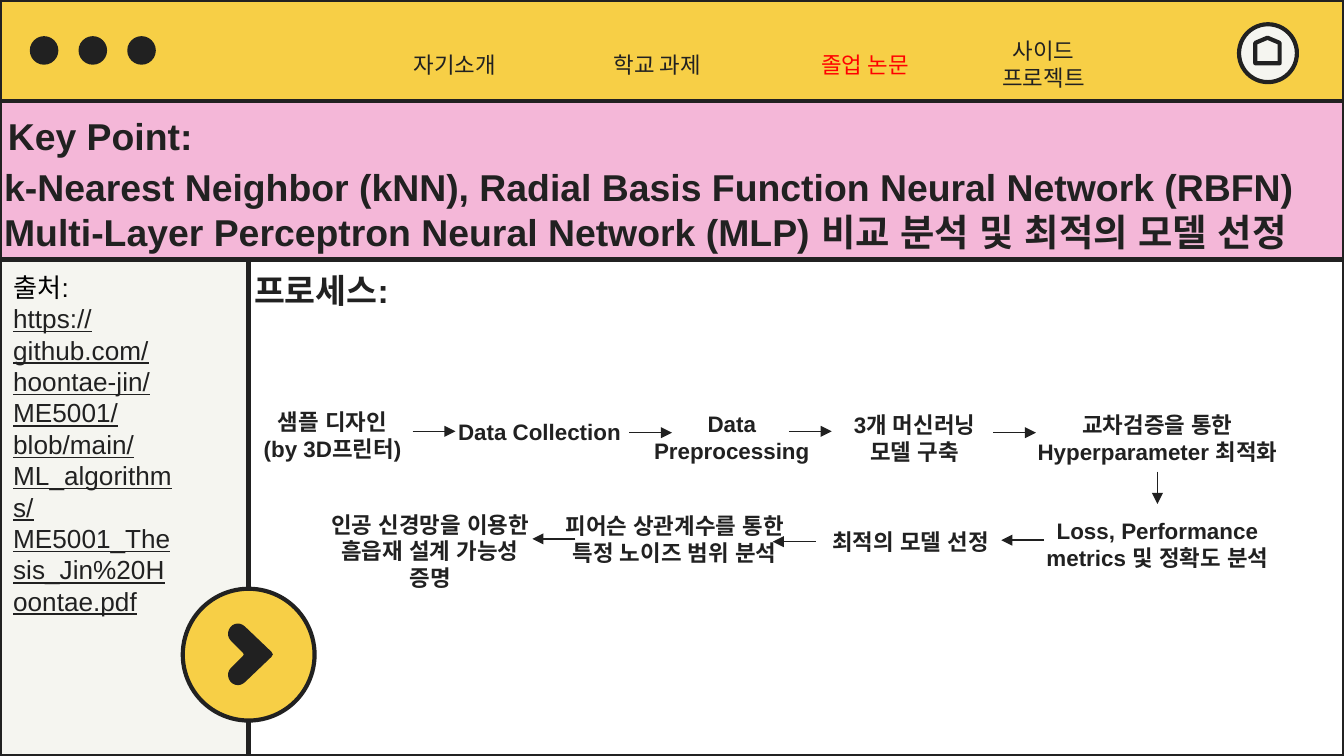
from dataclasses import dataclass

from lxml import etree
from pptx import Presentation
from pptx import util as u
from pptx.dml import color
from pptx.enum import shapes, text
from pptx.oxml import ns

Pt = u.Pt
RGB = color.RGBColor.from_string


@dataclass(frozen=True)
class Theme:
    ink: str = "212121"
    arrow: str = "202020"
    yellow: str = "F7CF46"
    pink: str = "F4B7D8"
    paper: str = "F5F5F0"
    active: str = "FF0000"
    black: str = "000000"
    latin: str = "Arial"
    korean: str = "Noto Sans CJK KR"
    heading: int = 20
    subheading: int = 18
    source: int = 14
    label: int = 12
    border: float = 2.25
    thin: float = 0.75


th = Theme()
kinds = shapes.MSO_SHAPE
CENTER, LEFT = text.PP_ALIGN.CENTER, text.PP_ALIGN.LEFT
TOP, MIDDLE = text.MSO_ANCHOR.TOP, text.MSO_ANCHOR.MIDDLE

prs = Presentation()
prs.slide_width, prs.slide_height = Pt(720), Pt(405)
s = prs.slides.add_slide(prs.slide_layouts[0])


def write(sp, words, size=th.label, ink=th.ink, font=th.latin, bold=False,
          underline=False, align=LEFT, anchor=TOP, inset=(7.2, 7.2, 7.2, 7.2)):
    tf = sp.text_frame
    tf.word_wrap = True
    tf.auto_size = text.MSO_AUTO_SIZE.NONE
    tf.vertical_anchor = anchor
    tf.margin_left, tf.margin_top, tf.margin_right, tf.margin_bottom = map(Pt, inset)
    p = tf.add_paragraph() if tf.text else tf.paragraphs[0]
    p.text = words
    p.alignment = align
    p.space_before = Pt(0)
    for r in p.runs:
        r.font.name, r.font.size = font, Pt(size)
        r.font.bold, r.font.underline = bold, underline
        r.font.color.rgb = RGB(ink)
        ea = etree.SubElement(r._r.get_or_add_rPr(), ns.qn("a:ea"))
        ea.set("typeface", font)


def draw(kind, box, fill=None, line=th.ink):
    sp = s.shapes.add_shape(kind, *map(Pt, box))
    sp.shadow.inherit = False
    if fill:
        sp.fill.solid()
        sp.fill.fore_color.rgb = RGB(fill)
    else:
        sp.fill.background()
    if line:
        sp.line.color.rgb = RGB(line)
        sp.line.width = Pt(th.border)
    else:
        sp.line.fill.background()
    return sp


draw(kinds.RECTANGLE, (0, 0, 720, 405))
draw(kinds.RECTANGLE, (0, 0, 720, 54), th.yellow)
for i in range(3):
    draw(kinds.OVAL, (16 + 26.1 * i, 19.4, 15.3, 15.3), th.ink, None)
draw(kinds.RECTANGLE, (0, 54, 720, 85), th.pink)
draw(kinds.RECTANGLE, (0, 139, 133.2, 266), th.paper)

title, subtitle = s.shapes.title, s.placeholders[1]
for sp, box in ((title, (-5, 80.6, 743.8, 37.4)), (subtitle, (128.9, 137.5, 91.4, 39.6))):
    sp.left, sp.top, sp.width, sp.height = map(Pt, box)
    s.shapes.element.append(sp.element)
write(title, "k-Nearest Neighbor (kNN), Radial Basis Function Neural Network (RBFN)\v"
      "Multi-Layer Perceptron Neural Network (MLP) 비교 분석 및 최적의 모델 선정",
      size=th.heading, bold=True)
write(subtitle, "프로세스:", size=th.subheading, bold=True)

draw(kinds.OVAL, (663.8, 13, 31, 31), th.paper)
home = draw(kinds.FLOWCHART_OFFPAGE_CONNECTOR, (672.5, 20.2, 13, 13.7))
home.rotation = 180
draw(kinds.OVAL, (97.9, 315.4, 70.6, 70.6), th.yellow)

axis = 350.6
upper = [(146.2, axis), (145.4, 349.2), (131.8, 336.2)]
for curve in (((131.8, 336.2), (130.3, 334.8), (128.9, 334.1), (127.4, 334.1)),
              ((127.4, 334.1), (123.1, 334.1), (120.2, 339.8), (123.8, 343.4))):
    for i in range(1, 9):
        t = i / 8
        weights = ((1 - t) ** 3, 3 * t * (1 - t) ** 2, 3 * t * t * (1 - t), t ** 3)
        upper.append(tuple(sum(w * c[k] for w, c in zip(weights, curve)) for k in (0, 1)))
upper += [(130.3, 349.9), (130.6, axis)]
outline = [(Pt(x), Pt(y)) for x, y in
           upper + [(x, 2 * axis - y) for x, y in upper[-2:0:-1]]]
fb = s.shapes.build_freeform(*outline[0])
fb.add_line_segments(outline[1:], close=True)
chevron = fb.convert_to_shape()
chevron.shadow.inherit = False
chevron.fill.solid()
chevron.fill.fore_color.rgb = RGB(th.ink)
chevron.line.fill.background()

for words, left, width, ink in (
        ("자기소개", 190, 107.3, th.ink),
        ("학교 과제", 295.2, 113.8, th.ink),
        ("졸업 논문", 404, 118.8, th.active),
        ("사이드 프로젝트", 525.6, 67, th.ink)):
    sp = s.shapes.add_textbox(Pt(left), Pt(19.4), Pt(width), Pt(15.8))
    write(sp, words, ink=ink, font=th.korean, align=CENTER, anchor=MIDDLE,
          inset=(7.2, 14.4, 7.2, 0))

source = s.shapes.add_textbox(Pt(0), Pt(141.8), Pt(103), Pt(159.8))
for words, ink, underline in (
        ("출처:", th.black, False),
        ("https://github.com/hoontae-jin/ME5001/blob/main/ML_algorithms/"
         "ME5001_Thesis_Jin%20Hoontae.pdf", th.ink, True)):
    write(source, words, size=th.source, ink=ink, underline=underline,
          inset=(7.2, 3.6, 7.2, 3.6))

sp = s.shapes.add_textbox(Pt(-2.9), Pt(53.3), Pt(743.8), Pt(37.4))
write(sp, "Key Point:", size=th.heading, bold=True)

steps = []
for words, *box in (
        ("샘플 디자인\v(by 3D프린터)", 128.9, 211.7, 98.6, 39.6),
        ("Data Collection", 235.4, 216.7, 107.3, 24.5),
        ("Data Preprocessing", 338.4, 212.4, 107.3, 39.6),
        ("3개 머신러닝\v모델 구축", 436.3, 213.1, 107.3, 39.6),
        ("교차검증을 통한 Hyperparameter 최적화", 544.5, 213.1, 151.2, 39.6),
        ("Loss, Performance metrics 및 정확도 분석", 544.5, 270, 151.2, 39.6),
        ("최적의 모델 선정", 434.2, 275.8, 107.3, 29.5),
        ("피어슨 상관계수를 통한 특정 노이즈 범위 분석", 294.5, 267.1, 133.9, 29.5),
        ("인공 신경망을 이용한 흠읍재 설계 가능성 증명", 169.2, 266.4, 122.4, 29.5)):
    sp = s.shapes.add_textbox(*map(Pt, box))
    write(sp, words, bold=True, align=CENTER)
    steps.append(sp)

arrows = []
for x, y, dx, dy in (
        (221, 231.1, 23, 0), (337, 231.8, 23, 0), (422.6, 231.1, 23, 0),
        (532, 231.8, 23, 0), (620.1, 252.7, 0, 17.3), (559.4, 289.4, -23, 0),
        (437, 290.2, -23, 0), (308.2, 288.7, -23, 0)):
    cx = s.shapes.add_connector(shapes.MSO_CONNECTOR.STRAIGHT,
                                *map(Pt, (x, y, x + dx, y + dy)))
    cx.line.color.rgb = RGB(th.arrow)
    cx.line.width = Pt(th.thin)
    etree.SubElement(cx.line._get_or_add_ln(), ns.qn("a:tailEnd")).set("type", "triangle")
    etree.SubElement(cx.element.spPr, ns.qn("a:effectLst"))
    arrows.append(cx)
arrows[4].begin_connect(steps[4], 2)
arrows[4].end_connect(steps[5], 0)

prs.save("out.pptx")
